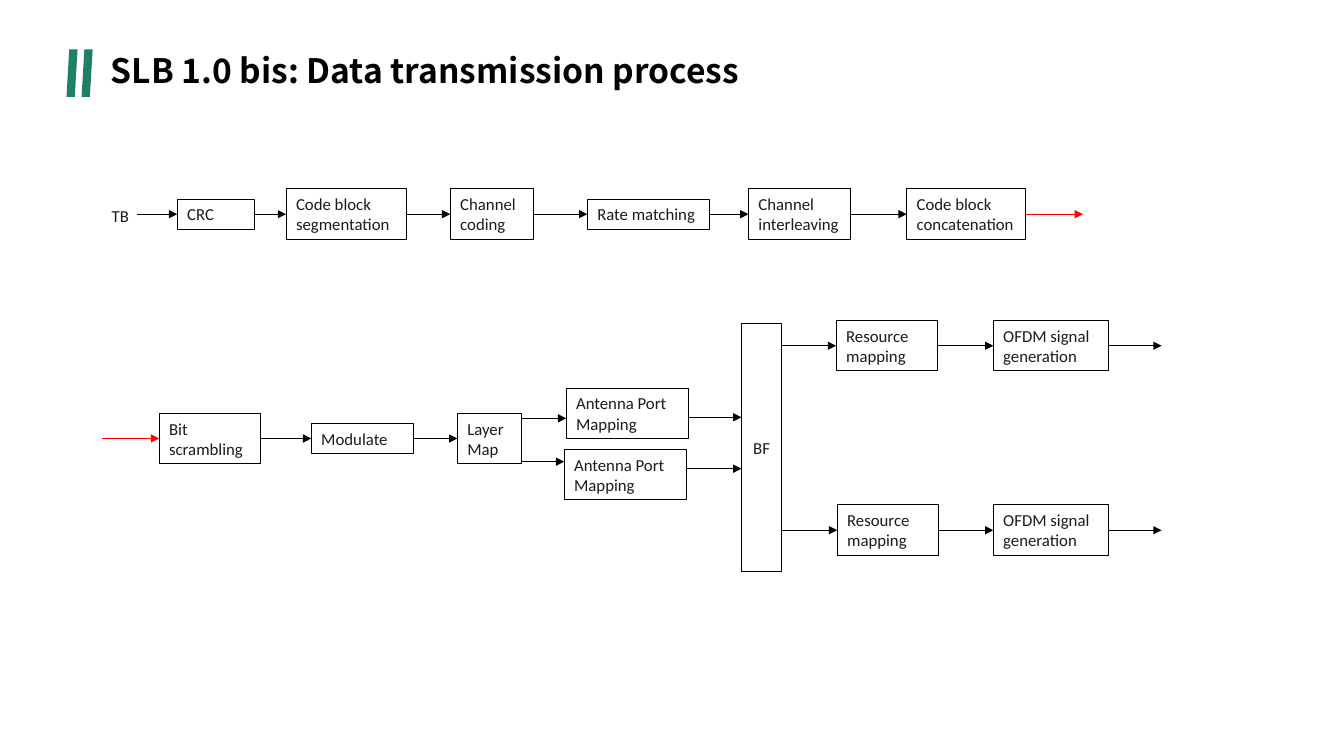
import pptx
import pptx.util
import pptx.dml.color
import pptx.enum.shapes
import pptx.enum.text
import pptx.oxml
from dataclasses import dataclass

# Content: lengths in grid cells, ten to the inch
COLUMNS, ROWS = 133.4, 75
TITLE = "SLB 1.0 bis: Data transmission process"
TITLE_AREA = (10, 4.5, 114.2, 5.4)
ACCENT_BARS = [(6.6, 4.9, 1.1, 4.7), (8.1, 4.9, 1.1, 4.7)]
INPUT_LABEL = ("TB", (10.1, 19.9, 4, 3))

ONE_LINE, TWO_LINES, BF_HEIGHT = 3, 5, 24.6
CODING, MODULATION = 21.25, 43.5
UPPER, LOWER = 34.3, 52.6

# Name: text, left, middle row, width, height
BLOCKS = {
    "crc": ("CRC", 17.6, CODING, 7.7, ONE_LINE),
    "segmentation": ("Code block segmentation", 28.4, CODING, 12, TWO_LINES),
    "coding": ("Channel coding", 44.7, CODING, 8.3, TWO_LINES),
    "matching": ("Rate matching", 58.3, CODING, 12.1, ONE_LINE),
    "interleaving": ("Channel interleaving", 74.3, CODING, 10.1, TWO_LINES),
    "concatenation": ("Code block concatenation", 90, CODING, 11.8, TWO_LINES),
    "scrambling": ("Bit scrambling", 15.8, MODULATION, 10.1, TWO_LINES),
    "modulate": ("Modulate", 30.9, MODULATION, 10.1, ONE_LINE),
    "layer": ("Layer Map", 45.4, MODULATION, 6.4, TWO_LINES),
    "antenna upper": ("Antenna Port Mapping", 56.2, 41, 12.1, TWO_LINES),
    "antenna lower": ("Antenna Port Mapping", 56, 47.1, 12.1, TWO_LINES),
    "bf": ("BF", 73.6, 44.4, 4, BF_HEIGHT),
    "resource upper": ("Resource mapping", 83, UPPER, 10.1, TWO_LINES),
    "resource lower": ("Resource mapping", 83.1, LOWER, 10.1, TWO_LINES),
    "ofdm upper": ("OFDM signal generation", 98.6, UPPER, 11.4, TWO_LINES),
    "ofdm lower": ("OFDM signal generation", 98.6, LOWER, 11.4, TWO_LINES),
}
CENTRED = {"bf"}

# Chains joined from the right side of one block to the left side of the next
CHAINS = [
    ("crc", "segmentation", "coding", "matching", "interleaving", "concatenation"),
    ("scrambling", "modulate", "layer"),
    ("resource upper", "ofdm upper"),
    ("resource lower", "ofdm lower"),
]

# Other arrows: start block or column, end block or column, row, colour
BRANCHES = [
    (13.6, "crc", CODING, "line"),
    ("concatenation", 107.5, CODING, "handover"),
    (10.1, "scrambling", MODULATION, "handover"),
    ("layer", "antenna upper", 41.5, "line"),
    ("layer", "antenna lower", 45.8, "line"),
    ("antenna upper", "bf", 41.4, "line"),
    ("antenna lower", "bf", 46.5, "line"),
    ("bf", "resource upper", UPPER, "line"),
    ("bf", "resource lower", LOWER, "line"),
    ("ofdm upper", 115.3, UPPER, "line"),
    ("ofdm lower", 115.3, LOWER, "line"),
]


@dataclass(frozen=True)
class Theme:
    accent: str = "1F8066"
    title: str = "000000"
    text: str = "1B1B18"
    line: str = "000000"
    handover: str = "FF0000"
    title_font: str = "Noto Sans CJK SC"
    body_font: str = "Calibri"
    title_size: float = 24
    body_size: float = 12
    border: float = 0.75
    arrow: float = 0.5


THEME = Theme()
LEFT_SIDE, RIGHT_SIDE = 1, 3


def cells(*lengths):
    return [pptx.util.Inches(length / 10) for length in lengths]


def rgb(value):
    return pptx.dml.color.RGBColor.from_string(value)


def write(shape, text, font, size, colour, bold=False, centred=False, wrap=True):
    frame = shape.text_frame
    frame.word_wrap = wrap
    frame.vertical_anchor = pptx.enum.text.MSO_ANCHOR.MIDDLE
    paragraph = frame.paragraphs[0]
    alignments = pptx.enum.text.PP_ALIGN
    paragraph.alignment = alignments.CENTER if centred else alignments.LEFT
    run = paragraph.add_run()
    run.text = text
    run.font.name, run.font.size, run.font.bold = font, pptx.util.Pt(size), bold
    run.font.color.rgb = rgb(colour)
    # East Asian fonts need the same name for every script
    east_asian = pptx.oxml.parse_xml(
        '<a:ea xmlns:a="http://schemas.openxmlformats.org/drawingml/2006/main"'
        f' typeface="{font}"/>')
    run.font._element.append(east_asian)


def add_block(slide, name):
    text, left, middle, width, height = BLOCKS[name]
    shape = slide.shapes.add_shape(
        pptx.enum.shapes.MSO_SHAPE.RECTANGLE,
        *cells(left, middle - height / 2, width, height))
    shape.shadow.inherit = False
    shape.fill.background()
    shape.line.color.rgb = rgb(THEME.line)
    shape.line.width = pptx.util.Pt(THEME.border)
    write(shape, text, THEME.body_font, THEME.body_size, THEME.text,
          centred=name in CENTRED)
    return shape


def add_arrow(slide, shapes, start, end, row, colour):
    start_column = BLOCKS[start][1] + BLOCKS[start][3] if start in BLOCKS else start
    end_column = BLOCKS[end][1] if end in BLOCKS else end
    connector = slide.shapes.add_connector(
        pptx.enum.shapes.MSO_CONNECTOR.STRAIGHT,
        *cells(start_column, row, end_column, row))
    if start in BLOCKS and BLOCKS[start][2] == row:
        connector.begin_connect(shapes[start], RIGHT_SIDE)
    if end in BLOCKS and BLOCKS[end][2] == row:
        connector.end_connect(shapes[end], LEFT_SIDE)
    connector.line.color.rgb = rgb(colour)
    connector.line.width = pptx.util.Pt(THEME.arrow)
    namespace = 'xmlns:a="http://schemas.openxmlformats.org/drawingml/2006/main"'
    connector.line._get_or_add_ln().append(
        pptx.oxml.parse_xml(f'<a:tailEnd {namespace} type="triangle"/>'))
    connector._element.spPr.append(pptx.oxml.parse_xml(f"<a:effectLst {namespace}/>"))


def main():
    presentation = pptx.Presentation()
    presentation.slide_width, presentation.slide_height = cells(COLUMNS, ROWS)
    slide = presentation.slides.add_slide(presentation.slide_layouts[6])

    # Title with accent bars
    for area in ACCENT_BARS:
        bar = slide.shapes.add_shape(
            pptx.enum.shapes.MSO_SHAPE.PARALLELOGRAM, *cells(*area))
        bar.shadow.inherit = False
        bar.fill.solid()
        bar.fill.fore_color.rgb = rgb(THEME.accent)
        bar.line.fill.background()
    title = slide.shapes.add_textbox(*cells(*TITLE_AREA))
    write(title, TITLE, THEME.title_font, THEME.title_size, THEME.title, bold=True)
    title.text_frame.paragraphs[0].line_spacing = 0.9

    # Blocks and input label
    shapes = {name: add_block(slide, name) for name in BLOCKS}
    text, area = INPUT_LABEL
    label = slide.shapes.add_textbox(*cells(*area))
    write(label, text, THEME.body_font, THEME.body_size, THEME.text, wrap=False)

    # Arrows
    for chain in CHAINS:
        for start, end in zip(chain, chain[1:]):
            add_arrow(slide, shapes, start, end, BLOCKS[start][2], THEME.line)
    for start, end, row, colour in BRANCHES:
        add_arrow(slide, shapes, start, end, row, getattr(THEME, colour))

    presentation.save("out.pptx")


if __name__ == "__main__":
    main()
